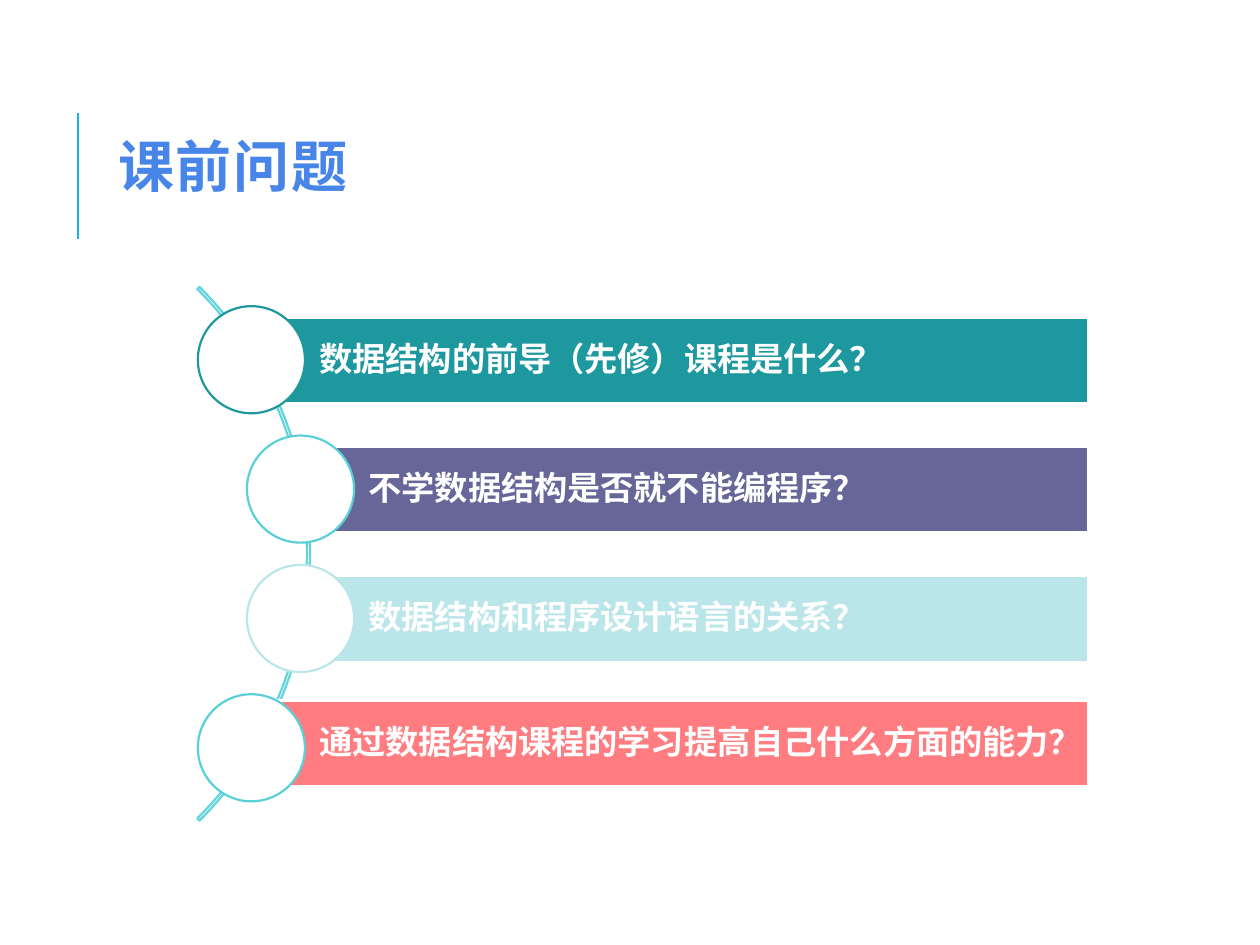
from lxml import etree
from pptx import Presentation
from pptx.dml.color import RGBColor
from pptx.enum import shapes, text
from pptx.oxml import ns
from pptx.util import Inches, Pt

WHITE = RGBColor(0xFF, 0xFF, 0xFF)
BLUE = RGBColor(0x48, 0x85, 0xE9)
RULE_BLUE = RGBColor(0x1C, 0xAD, 0xE4)
ARC_TEAL = RGBColor(0x62, 0xD4, 0xDB)
RING_TEAL = RGBColor(0x59, 0xCF, 0xD7)
DARK_TEAL = RGBColor(0x1D, 0x98, 0x9F)
PURPLE = RGBColor(0x66, 0x66, 0x99)
PALE_TEAL = RGBColor(0xBA, 0xE6, 0xEA)
CORAL = RGBColor(0xFF, 0x7C, 0x80)

CJK_FONT = "Noto Sans CJK SC"
CIRCLE = 0.85
BAR_HEIGHT = 0.68

QUESTIONS = [
    ("数据结构的前导（先修）课程是什么？", DARK_TEAL, DARK_TEAL, 0, 0.09),
    ("不学数据结构是否就不能编程序？", PURPLE, RING_TEAL, 0.39, 0.09),
    ("数据结构和程序设计语言的关系？", PALE_TEAL, PALE_TEAL, 0.39, 0.09),
    ("通过数据结构课程的学习提高自己什么方面的能力？", CORAL, RING_TEAL, 0, 0.05),
]


def add_text(sp, content, size, color, font, anchor, left=0.1, margin=0.05,
             line_spacing=1.0, tracking=0):
    tf = sp.text_frame
    tf.word_wrap = True
    tf.vertical_anchor = anchor
    tf.margin_left = Inches(left)
    tf.margin_top = tf.margin_right = tf.margin_bottom = Inches(margin)
    p = tf.paragraphs[0]
    p.alignment = text.PP_ALIGN.LEFT
    p.line_spacing = line_spacing
    r = p.add_run()
    r.text = content
    r.font.size = Pt(size)
    r.font.bold = True
    r.font.color.rgb = color
    r.font.name = font
    props = r._r.get_or_add_rPr()
    etree.SubElement(props, ns.qn("a:ea")).set("typeface", CJK_FONT)
    if tracking:
        props.set("spc", str(tracking * 100))


def add_preset(s, kind, left, top, width, height, line, fill=None):
    sp = s.shapes.add_shape(kind, Inches(left), Inches(top), Inches(width), Inches(height))
    sp.shadow.inherit = False
    if fill is None:
        sp.fill.background()
    else:
        sp.fill.solid()
        sp.fill.fore_color.rgb = fill
    sp.line.color.rgb = line
    sp.line.width = Pt(1.25)
    return sp


def add_header(s, left, top, width, height):
    rule = s.shapes.add_connector(shapes.MSO_CONNECTOR.STRAIGHT, Inches(left),
                                  Inches(top + 1), Inches(left), Inches(top))
    rule.line.color.rgb = RULE_BLUE
    rule.line.width = Pt(1.5)
    etree.SubElement(rule._element.spPr, ns.qn("a:effectLst"))
    title = s.shapes.add_textbox(Inches(left + 0.22), Inches(top - 0.26),
                                 Inches(width), Inches(height))
    add_text(title, "课前问题", 32, BLUE, CJK_FONT, text.MSO_ANCHOR.BOTTOM,
             line_spacing=0.8, tracking=1)


def add_question(s, left, top, right, question, fill, ring, lift):
    bar_left = left + CIRCLE / 2
    bar = add_preset(s, shapes.MSO_SHAPE.RECTANGLE, bar_left, top + lift,
                     right - bar_left, BAR_HEIGHT, WHITE, fill)
    add_text(bar, question, 19, WHITE, "Times New Roman", text.MSO_ANCHOR.MIDDLE,
             left=0.54, line_spacing=0.9)
    add_preset(s, shapes.MSO_SHAPE.OVAL, left, top, CIRCLE, CIRCLE, ring, WHITE)


def add_question_list(s, left, top, width, height):
    size = 5.99
    arc = add_preset(s, shapes.MSO_SHAPE.BLOCK_ARC, left - 5.1,
                     top + (height - size) / 2, size, size, ARC_TEAL)
    for i, value in enumerate((189, 27, 0.004)):
        arc.adjustments[i] = value
    pitch = (height - CIRCLE) / (len(QUESTIONS) - 1)
    for i, (question, fill, ring, indent, lift) in enumerate(QUESTIONS):
        add_question(s, left + indent, top + i * pitch, left + width,
                     question, fill, ring, lift)


def main():
    prs = Presentation()
    prs.slide_width = Inches(10)
    prs.slide_height = Inches(7.5)
    s = prs.slides.add_slide(prs.slide_layouts[6])
    add_header(s, 0.62, 0.9, 7.97, 0.98)
    add_question_list(s, 1.57, 2.43, 7.07, 3.93)
    prs.save("out.pptx")


if __name__ == "__main__":
    main()
